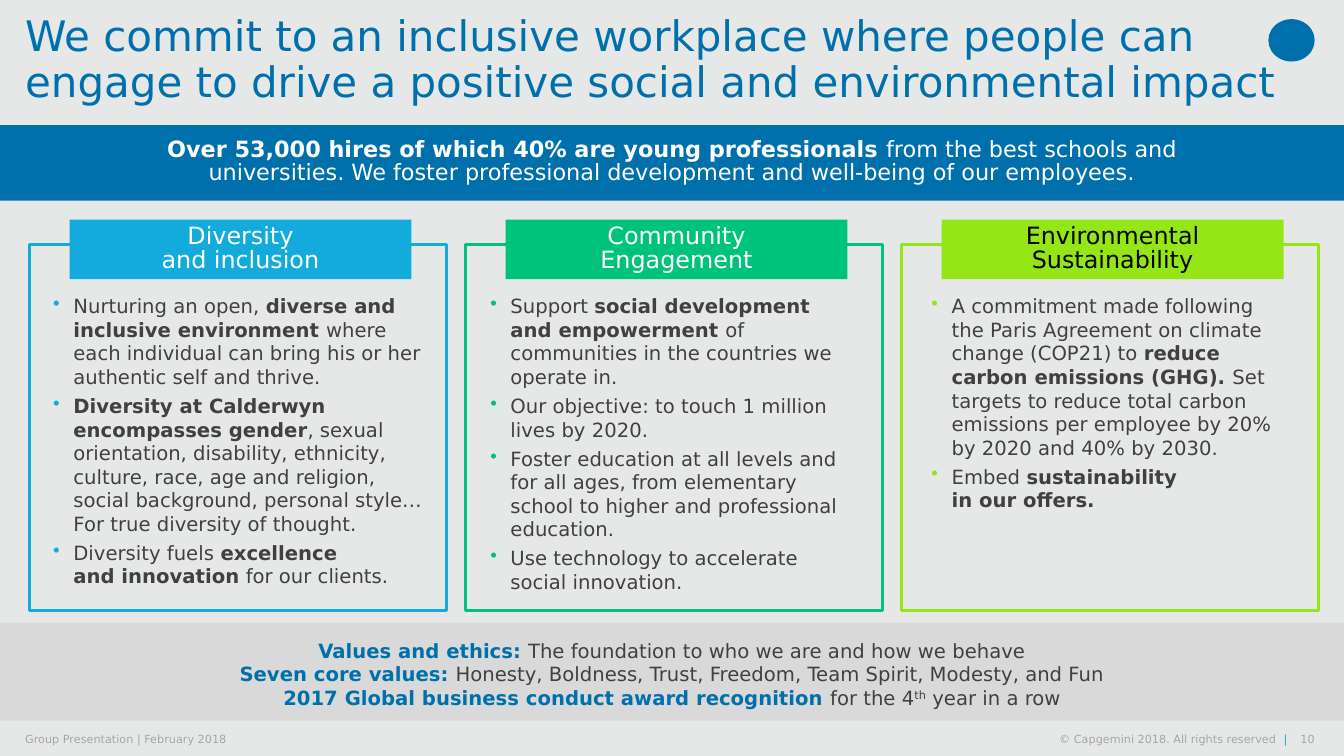
from lxml import etree
from pptx import Presentation
from pptx.dml.color import RGBColor
from pptx.enum.shapes import MSO_SHAPE
from pptx.enum.text import MSO_ANCHOR, PP_ALIGN
from pptx.oxml.ns import qn
from pptx.util import Inches, Pt

RECTANGLE, OVAL = MSO_SHAPE.RECTANGLE, MSO_SHAPE.OVAL
LEFT, CENTER, RIGHT = PP_ALIGN.LEFT, PP_ALIGN.CENTER, PP_ALIGN.RIGHT
TOP, MIDDLE = MSO_ANCHOR.TOP, MSO_ANCHOR.MIDDLE

FONT = "DejaVu Sans"
BLUE, SKY, GREEN, LIME = "0070AD", "12ABDB", "00C37B", "95E616"
WHITE, BLACK, DARK, GRAY = "FFFFFF", "000000", "404040", "A6A6A6"
BACKGROUND, VALUES_FILL = "E6E7E7", "D9D9D9"
BOLD = {"bold": True}
KEY = {"bold": True, "color": BLUE}
SUPER = {"baseline": "30000"}

TITLE = [["We commit to an inclusive workplace where people can\n"
          "engage to drive a positive social and environmental impact"]]
HIRES = [[("Over 53,000 hires of which 40% are young professionals ", BOLD),
          "from the best schools and universities. We foster professional "
          "development and well-being of our employees."]]
VALUES = [
    [("Values and ethics: ", KEY), "The foundation to who we are and how we behave"],
    [("Seven core values: ", KEY),
     "Honesty, Boldness, Trust, Freedom, Team Spirit, Modesty, and Fun"],
    [("2017 Global business conduct award recognition ", KEY),
     "for the 4", ("th", SUPER), " year in a row"],
]
CARDS = [
    {"heading": "Diversity\nand inclusion", "color": SKY, "heading_color": WHITE,
     "inset": 0.14, "width": 3.86, "bullets": [
         ["Nurturing an open, ", ("diverse and inclusive environment ", BOLD),
          "where each individual can bring his or her authentic self and thrive."],
         [("Diversity at Calderwyn encompasses gender", BOLD),
          ", sexual orientation, disability, ethnicity,\nculture, race, age and religion,\n"
          "social background, personal style… For true diversity of thought."],
         ["Diversity fuels ", ("excellence\nand innovation", BOLD), " for our clients."]]},
    {"heading": "Community\nEngagement", "color": GREEN, "heading_color": WHITE,
     "inset": 0.15, "width": 3.86, "bullets": [
         ["Support ", ("social development\nand empowerment ", BOLD),
          "of communities in the countries we operate in."],
         ["Our objective: to touch 1 million lives by 2020."],
         ["Foster education at all levels and for all ages, from elementary "
          "school to higher and professional education."],
         ["Use technology to accelerate\nsocial innovation."]]},
    {"heading": "Environmental\nSustainability", "color": LIME, "heading_color": BLACK,
     "inset": 0.2, "width": 3.59, "bullets": [
         ["A commitment made following\nthe Paris Agreement on climate change (COP21) to ",
          ("reduce carbon emissions (GHG). ", BOLD),
          "Set targets to reduce total carbon emissions per employee "
          "by 20% by 2020 and 40% by 2030."],
         ["Embed ", ("sustainability\nin our offers.", BOLD)]]},
]
FOOTERS = [
    (0.25, 5.16, LEFT, ["Group Presentation | February 2018"]),
    (9.86, 2.91, RIGHT, ["© Capgemini 2018. All rights reserved  ", ("|", {"color": SKY})]),
    (12.85, 0.19, RIGHT, ["10"]),
]
CARD_LEFT, CARD_PITCH, CARD_WIDTH = 0.29, 4.325, 4.14
HEADING_INSET, HEADING_WIDTH = 0.4, 3.39

presentation = Presentation()
presentation.slide_width, presentation.slide_height = Inches(13.33), Inches(7.5)
slide = presentation.slides.add_slide(presentation.slide_layouts[6])


def rgb(color):
    return RGBColor.from_string(color)


def add_panel(left, top, width, height, fill=None, line=None, kind=RECTANGLE):
    shape = slide.shapes.add_shape(kind, Inches(left), Inches(top), Inches(width), Inches(height))
    shape.shadow.inherit = False
    if fill:
        shape.fill.solid()
        shape.fill.fore_color.rgb = rgb(fill)
    else:
        shape.fill.background()
    if line:
        shape.line.color.rgb = rgb(line)
        shape.line.width = Pt(2.25)
    else:
        shape.line.fill.background()
    return shape


def add_text_box(left, top, width, height):
    return slide.shapes.add_textbox(Inches(left), Inches(top), Inches(width), Inches(height))


def add_bullet(paragraph, color):
    properties = paragraph._p.get_or_add_pPr()
    properties.set("marL", str(Inches(0.2)))
    properties.set("indent", str(-Inches(0.2)))
    bullet_color = etree.SubElement(properties, qn("a:buClr"))
    etree.SubElement(bullet_color, qn("a:srgbClr"), val=color)
    etree.SubElement(properties, qn("a:buChar"), char="•")


def write(shape, paragraphs, size=14, color=DARK, align=LEFT, anchor=TOP,
          spacing=1.0, before=0, bullet=None, margins=True):
    frame = shape.text_frame
    frame.word_wrap = True
    frame.vertical_anchor = anchor
    if not margins:
        frame.margin_left = frame.margin_right = frame.margin_top = frame.margin_bottom = 0
    for index, runs in enumerate(paragraphs):
        paragraph = frame.add_paragraph() if index else frame.paragraphs[0]
        if bullet:
            add_bullet(paragraph, bullet)
        paragraph.alignment = align
        paragraph.line_spacing = spacing
        if index:
            paragraph.space_before = Pt(before)
        for item in runs:
            text, style = (item, {}) if isinstance(item, str) else item
            for number, line in enumerate(text.split("\n")):
                if number:
                    paragraph.add_line_break()
                run = paragraph.add_run()
                run.text = line
                run.font.name = FONT
                run.font.size = Pt(size)
                run.font.bold = style.get("bold", False)
                run.font.color.rgb = rgb(style.get("color", color))
                if "baseline" in style:
                    run._r.get_or_add_rPr().set("baseline", style["baseline"])


slide.background.fill.solid()
slide.background.fill.fore_color.rgb = rgb(BACKGROUND)
add_panel(12.58, 0.19, 0.46, 0.42, fill=BLUE, kind=OVAL)
write(add_text_box(0.25, 0, 12.6, 1.21), TITLE, size=30, color=BLUE,
      anchor=MIDDLE, spacing=0.9, margins=False)

add_panel(0, 1.24, 13.33, 0.75, fill=BLUE)
write(add_text_box(1.42, 1.33, 10.49, 0.56), HIRES, size=16, color=WHITE,
      align=CENTER, spacing=0.85)

for column, card in enumerate(CARDS):
    left = CARD_LEFT + column * CARD_PITCH
    add_panel(left, 2.43, CARD_WIDTH, 3.63, line=card["color"])
    heading = add_panel(left + HEADING_INSET, 2.18, HEADING_WIDTH, 0.59, fill=card["color"])
    write(heading, [[card["heading"]]], size=17, color=card["heading_color"],
          align=CENTER, anchor=MIDDLE, spacing=0.85)
    write(add_text_box(left + card["inset"], 2.87, card["width"], 3.15), card["bullets"],
          before=4, bullet=card["color"])

add_panel(0, 6.18, 13.33, 0.97, fill=VALUES_FILL)
write(add_text_box(1.22, 6.28, 10.89, 0.81), VALUES, align=CENTER, anchor=MIDDLE)

for left, width, align, runs in FOOTERS:
    write(add_text_box(left, 7.27, width, 0.13), [runs], size=8, color=GRAY,
          align=align, anchor=MIDDLE, margins=False)

presentation.save("out.pptx")
